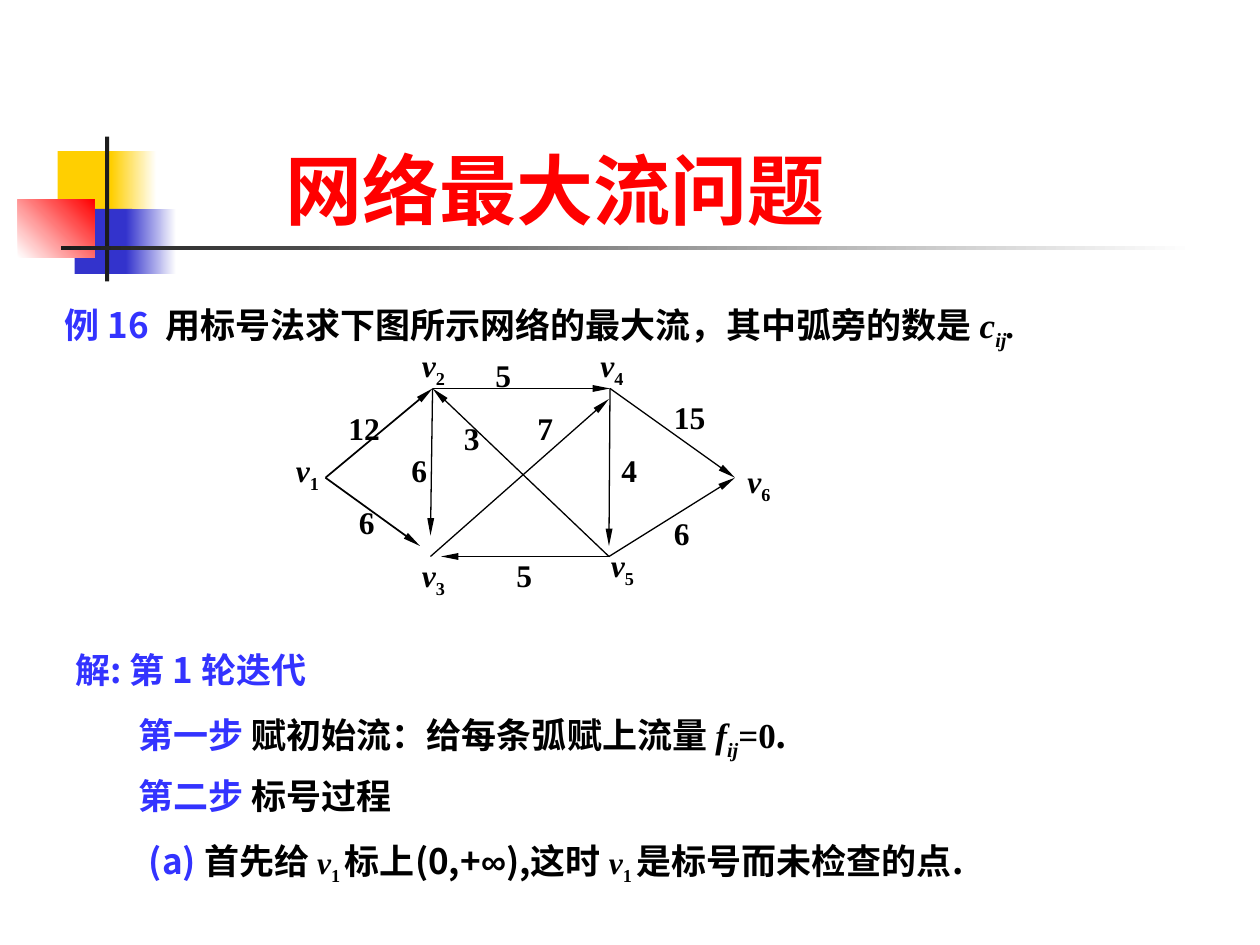
from lxml import etree
from pptx import Presentation
from pptx.dml.color import RGBColor
from pptx.enum.shapes import MSO_CONNECTOR, MSO_SHAPE
from pptx.enum.text import MSO_ANCHOR, PP_ALIGN
from pptx.oxml.ns import qn
from pptx.util import Inches, Pt

RECT = MSO_SHAPE.RECTANGLE
LINE = MSO_CONNECTOR.STRAIGHT
TOP, LOW = MSO_ANCHOR.TOP, MSO_ANCHOR.BOTTOM
LEFT, JUST = PP_ALIGN.LEFT, PP_ALIGN.JUSTIFY
HAN, ROMAN, SANS = "Noto Sans CJK SC", "Times New Roman", "Arial"
HUES = {
    "gold": "FFCF01", "navy": "3333CC", "red": "FF0000", "ink": "1C1C1C",
    "white": "FFFFFF", "blue": "3333FF", "black": "000000",
}
# name: size, font, colour, italic, baseline
KINDS = {
    "title": (44, ROMAN, "red", False, 0),
    "key": (20, HAN, "blue", False, 0),
    "body": (20, HAN, "black", False, 0),
    "sign": (20, SANS, "black", False, 0),
    "math": (20, ROMAN, "black", True, 0),
    "plain": (20, ROMAN, "black", False, 0),
    "index": (20, ROMAN, "black", True, -25000),
    "node": (18, ROMAN, "black", True, 0),
    "num": (18, ROMAN, "black", False, 0),
    "sub": (18, ROMAN, "black", False, -25000),
}


class Deck:
    """Draws on one slide with a grid of 120 columns and 90 rows."""

    def __init__(self):
        self.file = Presentation()
        self.file.slide_width, self.file.slide_height = Inches(10), Inches(7.5)
        self.unit = self.file.slide_width / 120
        self.slide = self.file.slides.add_slide(self.file.slide_layouts[6])

    def grid(self, *cells):
        return [round(cell * self.unit) for cell in cells]

    def hue(self, name):
        return RGBColor.from_string(HUES[name])

    def block(self, cells, *hues, angle=0):
        shape = self.slide.shapes.add_shape(RECT, *self.grid(*cells))
        shape.shadow.inherit = False
        shape.line.fill.background()
        if len(hues) == 1:
            shape.fill.solid()
            shape.fill.fore_color.rgb = self.hue(hues[0])
            return
        shape.fill.gradient()
        shape.fill.gradient_angle = angle
        for stop, name in zip(shape.fill.gradient_stops, hues):
            stop.color.rgb = self.hue(name)

    def text(self, cells, runs, space=1.3, align=JUST, anchor=TOP):
        frame = self.slide.shapes.add_textbox(*self.grid(*cells)).text_frame
        frame.word_wrap = True
        frame.vertical_anchor = anchor
        para = frame.paragraphs[0]
        para.alignment, para.line_spacing = align, space
        for words, kind in runs:
            size, face, hue, slant, base = KINDS[kind]
            run = para.add_run()
            run.text = words
            font = run.font
            font.size, font.name, font.bold, font.italic = Pt(size), face, True, slant
            font.color.rgb = self.hue(hue)
            props = run._r.get_or_add_rPr()
            etree.SubElement(props, qn("a:ea")).set("typeface", HAN)
            if base:
                props.set("baseline", str(base))

    def arrow(self, start, end, width=0.75):
        line = self.slide.shapes.add_connector(LINE, *self.grid(*start, *end))
        line.line.color.rgb = self.hue("black")
        line.line.width = Pt(width)
        tip = etree.SubElement(line.line._get_or_add_ln(), qn("a:tailEnd"))
        for key, value in (("type", "triangle"), ("w", "sm"), ("len", "lg")):
            tip.set(key, value)
        etree.SubElement(line._element.spPr, qn("a:effectLst"))


def main():
    deck = Deck()
    deck.block((5.5, 14.4, 5.8, 6.2), "gold")
    deck.block((10.6, 14.4, 4.3, 6.2), "gold", "white")
    deck.block((7.1, 19.9, 5.5, 6.2), "navy")
    deck.block((12, 19.9, 4.8, 6.2), "navy", "white")
    deck.block((1.7, 19, 7.3, 5.5), "white", "red", angle=45)
    deck.block((10, 13, 0.4, 13.8), "ink")
    deck.block((5.8, 23.4, 108, 0.4), "ink", "white")
    deck.text((26, 11, 59, 12), [("网络最大流问题", "title")], 1, LEFT, LOW)
    deck.text((5, 27, 102, 6), [
        ("例 16  ", "key"), ("用标号法求下图所示网络的最大流，其中弧旁的数是 ", "body"),
        ("c", "math"), ("ij", "index"), (".", "math")])

    v1, v2, v3 = (31, 45.5), (41.2, 37), (41, 53)
    v4, v5, v6 = (58.1, 37), (58, 53), (70, 45.5)
    for start, end in ((v1, v2), (v1, (40, 52)), (v2, v4)):
        deck.arrow(start, end, 1)
    for start, end in (
            (v5, (42, 53)), (v4, v6), (v5, v6), (v2, (41, 51)),
            (v4, (58, 52)), (v3, (58, 38)), (v5, v2)):
        deck.arrow(start, end)

    spots = ((27, 42), (39, 32), (39, 52), (56, 32), (57, 51), (70, 43))
    for index, spot in enumerate(spots, 1):
        deck.text((*spot, 6, 6), [("v", "node"), (str(index), "sub")], 1.1)
    for load, *spot in (
            (6, 33, 47), (12, 32, 38), (6, 38, 42), (5, 46, 33), (3, 43, 39),
            (7, 50, 38), (5, 48, 52), (15, 63, 37), (6, 63, 48), (4, 58, 42)):
        deck.text((*spot, 6, 6), [(str(load), "num")], 1.1)

    deck.text((6, 60, 33, 7), [("解: 第 1 轮迭代", "key")])
    deck.text((12, 66, 77, 7), [
        ("第一步", "key"), (" 赋初始流：给每条弧赋上流量 ", "body"), ("f", "math"),
        ("ij", "index"), ("=0", "plain"), (".", "body")])
    deck.text((12, 72, 32, 7), [("第二步", "key"), (" 标号过程", "body")])
    deck.text((13, 78, 89, 7), [
        ("(a) ", "key"), ("首先给 ", "body"), ("v", "node"), ("1 ", "sub"),
        ("标上(0,+", "body"), ("∞", "sign"), ("),这时 ", "body"),
        ("v", "node"), ("1 ", "sub"), ("是标号而未检查的点.", "body")])
    deck.file.save("out.pptx")


if __name__ == "__main__":
    main()
